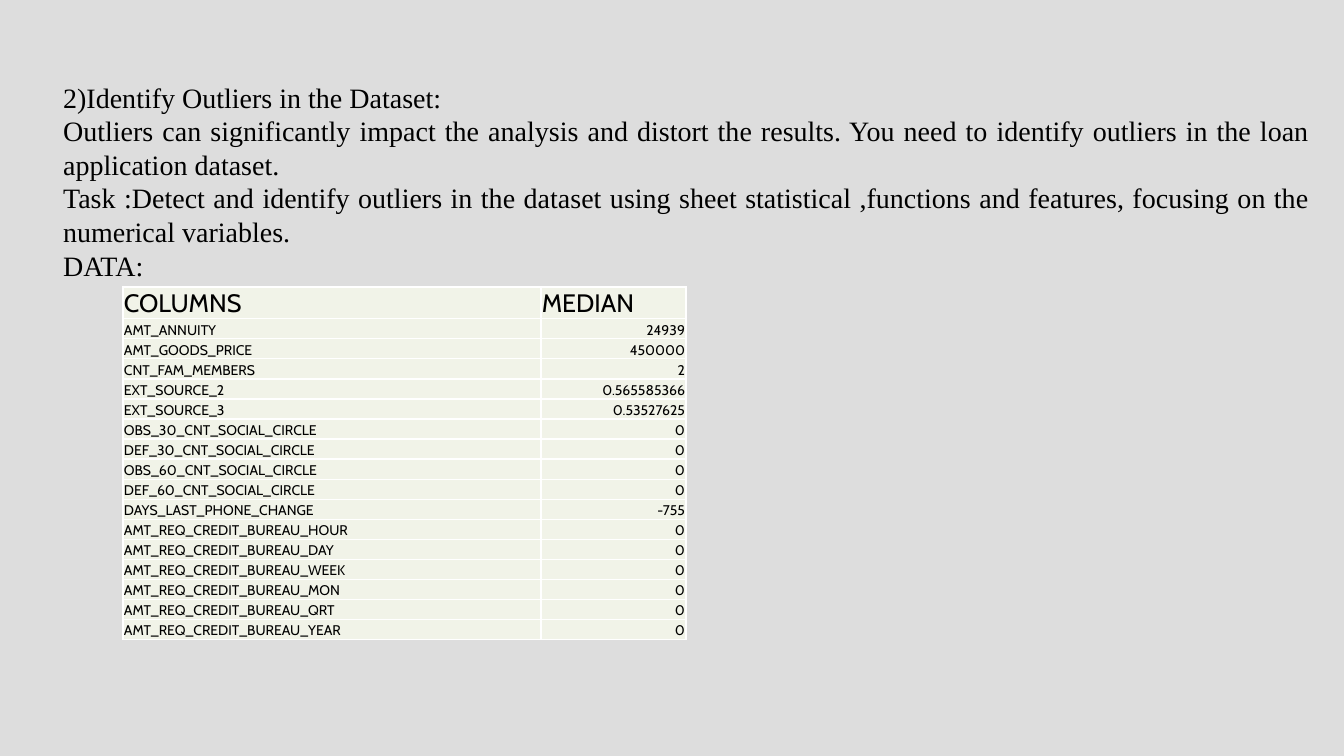
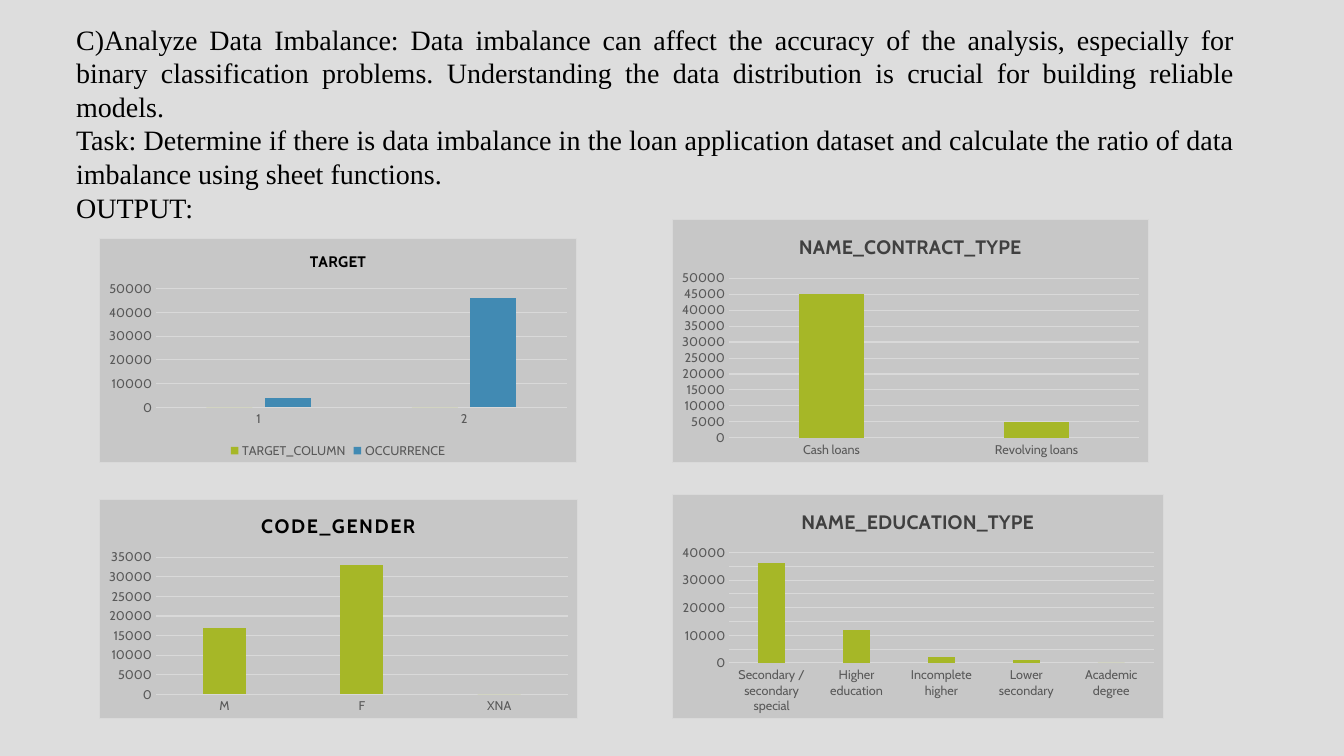
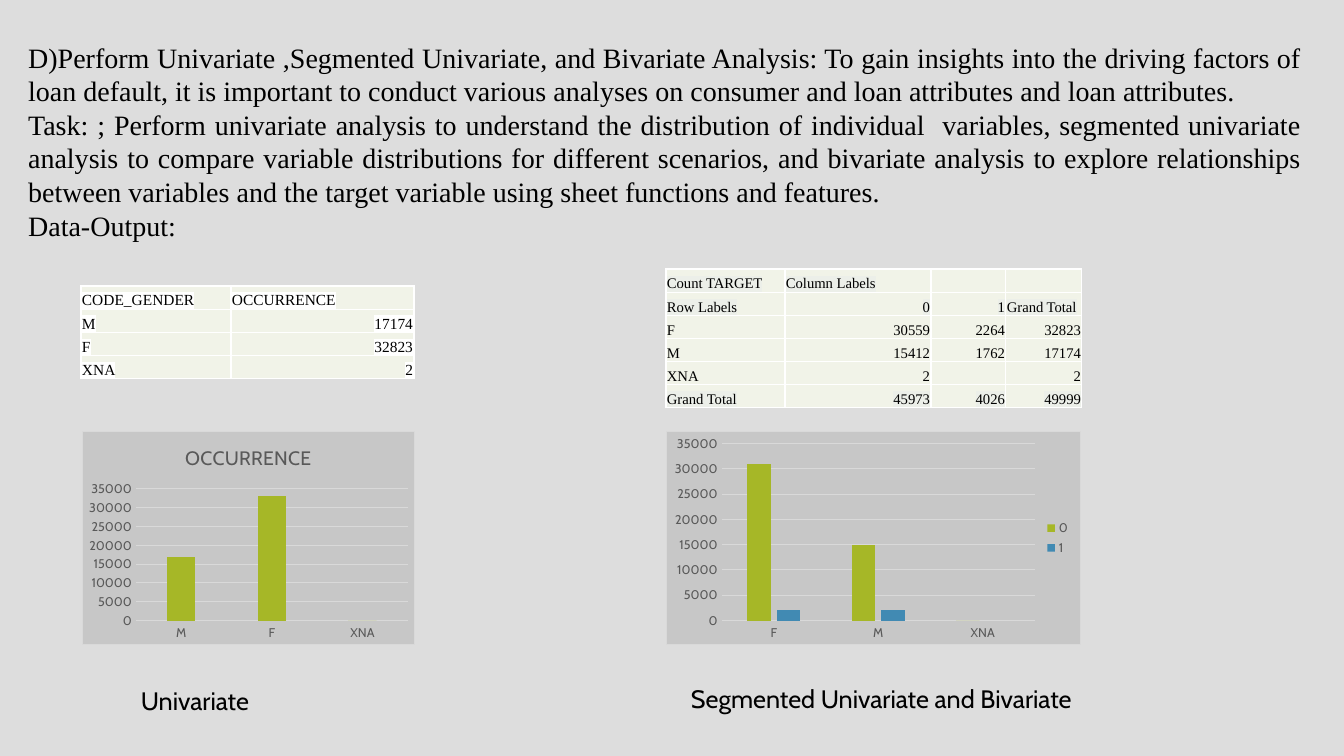
"""Builds three slides of a loan application data analysis."""
import lxml.etree
import pptx
import pptx.chart.data
import pptx.dml.color
import pptx.enum.chart
import pptx.enum.text
import pptx.oxml
import pptx.oxml.ns
import pptx.util

SCALE = 914400 / 100.8
SLIDE_SIZE = (1344, 756)
COLORS = {
    "background": "DDDDDD", "text": "000000", "cell": "F1F3E8", "border": "FFFFFF",
    "panel": "C7C7C7", "grid": "D9D9D9", "axis": "595959", "title": "404040",
    "green": "A6B727", "blue": "418AB3", "white": "FFFFFF", "pale": "ECEFE9",
}
SERIES_COLORS = ("green", "blue")
SERIF, SANS = "Times New Roman", "Cabin"
GENDERS = ("M", "F", "XNA")
GENDER_BARS = (17000, 33000, 0)

SLIDES = [
    {
        "body": {"box": (53, 75, 1267, 214), "paragraphs": [
            "2)Identify Outliers in the Dataset:",
            "Outliers can significantly impact the analysis and distort the results. You need to identify "
            "outliers in the loan application dataset.",
            "Task :Detect and identify outliers in the dataset using sheet statistical ,functions and "
            "features, focusing on the numerical variables.",
            "DATA:",
        ]},
        "tables": [{
            "at": (123, 287), "columns": (418, 145), "height": 352, "header_height": 31,
            "font": SANS, "size": 10, "header_size": 18, "highlights": {},
            "rows": [
                ("COLUMNS", "MEDIAN"),
                ("AMT_ANNUITY", "24939"),
                ("AMT_GOODS_PRICE", "450000"),
                ("CNT_FAM_MEMBERS", "2"),
                ("EXT_SOURCE_2", "0.565585366"),
                ("EXT_SOURCE_3", "0.53527625"),
                ("OBS_30_CNT_SOCIAL_CIRCLE", "0"),
                ("DEF_30_CNT_SOCIAL_CIRCLE", "0"),
                ("OBS_60_CNT_SOCIAL_CIRCLE", "0"),
                ("DEF_60_CNT_SOCIAL_CIRCLE", "0"),
                ("DAYS_LAST_PHONE_CHANGE", "-755"),
                ("AMT_REQ_CREDIT_BUREAU_HOUR", "0"),
                ("AMT_REQ_CREDIT_BUREAU_DAY", "0"),
                ("AMT_REQ_CREDIT_BUREAU_WEEK", "0"),
                ("AMT_REQ_CREDIT_BUREAU_MON", "0"),
                ("AMT_REQ_CREDIT_BUREAU_QRT", "0"),
                ("AMT_REQ_CREDIT_BUREAU_YEAR", "0"),
            ],
        }],
    },
    {
        "body": {"box": (66, 17, 1179, 244), "paragraphs": [
            "C)Analyze Data Imbalance: Data imbalance can affect the accuracy of the analysis, especially "
            "for binary classification problems. Understanding the data distribution is crucial for "
            "building reliable models.",
            "Task: Determine if there is data imbalance in the loan application dataset and calculate the "
            "ratio of data imbalance using sheet functions.",
            "OUTPUT:",
        ]},
        "charts": [
            {"box": (99, 238, 478, 225), "title": ("TARGET", 11, "text", True, 0),
             "legend": "BOTTOM", "axis": (50000, 10000), "categories": ("1", "2"),
             "series": [("TARGET_COLUMN", (0, 0)), ("OCCURRENCE", (4000, 46000))]},
            {"box": (672, 219, 477, 244), "title": ("NAME_CONTRACT_TYPE", 14, "title", True, 0),
             "axis": (50000, 5000), "categories": ("Cash loans", "Revolving loans"),
             "series": [("Series 1", (45000, 5000))]},
            {"box": (99, 499, 479, 220), "title": ("CODE_GENDER", 14, "text", True, 100),
             "axis": (35000, 5000), "categories": GENDERS,
             "series": [("Series 1", GENDER_BARS)]},
            {"box": (672, 494, 492, 225), "title": ("NAME_EDUCATION_TYPE", 14, "title", True, 0),
             "axis": (40000, 5000),
             "categories": ("Secondary / secondary special", "Higher education", "Incomplete higher",
                            "Lower secondary", "Academic degree"),
             "series": [("Series 1", (36000, 12000, 2000, 1000, 0))]},
        ],
    },
    {
        "body": {"box": (18, 35, 1294, 244), "paragraphs": [
            "D)Perform Univariate ,Segmented Univariate, and Bivariate Analysis: To gain insights into the "
            "driving factors of loan default, it is important to conduct various analyses on consumer and "
            "loan attributes and loan attributes.",
            "Task: ; Perform univariate analysis to understand the distribution of individual  variables, "
            "segmented univariate analysis to compare variable distributions for different scenarios, and "
            "bivariate analysis to explore relationships between variables and the target variable using "
            "sheet functions and features.",
            "Data-Output:",
        ]},
        "tables": [
            {"at": (81, 286), "columns": (150, 183), "height": 93, "font": SERIF, "size": 11,
             "highlights": dict.fromkeys(range(4), "white"),
             "rows": [
                 ("CODE_GENDER", "OCCURRENCE"),
                 ("M", "17174"),
                 ("F", "32823"),
                 ("XNA", "2"),
             ]},
            {"at": (666, 269), "columns": (119, 146, 75, 76), "height": 139, "font": SERIF, "size": 10.5,
             "highlights": dict.fromkeys((0, 1, 5), "pale"),
             "rows": [
                 ("Count TARGET", "Column Labels", "", ""),
                 ("Row Labels", "0", "1", "Grand Total"),
                 ("F", "30559", "2264", "32823"),
                 ("M", "15412", "1762", "17174"),
                 ("XNA", "2", "", "2"),
                 ("Grand Total", "45973", "4026", "49999"),
             ]},
        ],
        "charts": [
            {"box": (82, 431, 333, 214), "title": ("OCCURRENCE", 14, "axis", False, 0),
             "axis": (35000, 5000), "categories": GENDERS,
             "series": [("OCCURRENCE", GENDER_BARS)]},
            {"box": (666, 431, 415, 214), "legend": "RIGHT", "axis": (35000, 5000),
             "categories": ("F", "M", "XNA"),
             "series": [("0", (31000, 15000, 0)), ("1", (2000, 2000, None))]},
        ],
        "captions": [
            ("Univariate", (131, 680, 316, 40)),
            ("Segmented Univariate and Bivariate", (681, 678, 433, 40)),
        ],
    },
]


def px(length):
    return pptx.util.Emu(round(length * SCALE))


def color(name):
    return pptx.dml.color.RGBColor.from_string(COLORS[name])


def xml(tag, content, attributes=""):
    namespaces = pptx.oxml.ns.nsdecls("a", "c")
    return pptx.oxml.parse_xml(f"<{tag} {namespaces} {attributes}>{content}</{tag}>")


def solid(name):
    return f'<a:solidFill><a:srgbClr val="{COLORS[name]}"/></a:solidFill>'


def style_font(font, name, size, color_name, bold=False):
    font.name, font.size, font.bold = name, pptx.util.Pt(size), bold
    font.color.rgb = color(color_name)


def add_run(paragraph, text, name, size, color_name="text", bold=False):
    run = paragraph.add_run()
    run.text = text
    style_font(run.font, name, size, color_name, bold)
    return run


def fill_body(slide, body):
    placeholder = slide.placeholders[1]
    placeholder.left, placeholder.top, placeholder.width, placeholder.height = map(px, body["box"])
    frame = placeholder.text_frame
    frame.auto_size = pptx.enum.text.MSO_AUTO_SIZE.NONE
    for index, text in enumerate(body["paragraphs"]):
        paragraph = frame.add_paragraph() if index else frame.paragraphs[0]
        paragraph.alignment = pptx.enum.text.PP_ALIGN.JUSTIFY
        paragraph.space_before = pptx.util.Pt(0)
        paragraph.line_spacing = pptx.util.Pt(24)
        properties = paragraph._p.get_or_add_pPr()
        properties.set("marL", "0")
        properties.set("indent", "0")
        properties.append(xml("a:buNone", ""))
        add_run(paragraph, text, SERIF, 20)


def fill_cell(cell, text, font, size, highlight):
    cell.margin_left = cell.margin_right = cell.margin_top = px(1)
    cell.margin_bottom = 0
    cell.vertical_anchor = pptx.enum.text.MSO_ANCHOR.BOTTOM
    properties = cell._tc.get_or_add_tcPr()
    for side in "LRTB":
        properties.append(xml(f"a:ln{side}", solid("border"), 'w="12700"'))
    cell.fill.solid()
    cell.fill.fore_color.rgb = color("cell")
    paragraph = cell.text_frame.paragraphs[0]
    if not text:
        paragraph._p.append(xml("a:endParaRPr", "", f'sz="{round(size * 100)}"'))
        return
    if text.lstrip("-").replace(".", "").isdigit():
        paragraph.alignment = pptx.enum.text.PP_ALIGN.RIGHT
    run = add_run(paragraph, text, font, size)
    if highlight:
        fill = run._r.rPr.find(pptx.oxml.ns.qn("a:solidFill"))
        fill.addnext(xml("a:highlight", f'<a:srgbClr val="{COLORS[highlight]}"/>'))


def add_table(slide, content):
    rows, columns = content["rows"], content["columns"]
    box = (*content["at"], sum(columns), content["height"])
    table = slide.shapes.add_table(len(rows), len(columns), *map(px, box)).table
    table.first_row = table.horz_banding = False
    for column, width in zip(table.columns, columns):
        column.width = px(width)
    header_height = content.get("header_height", content["height"] / len(rows))
    row_height = (content["height"] - header_height) / (len(rows) - 1)
    for index, values in enumerate(rows):
        table.rows[index].height = px(row_height if index else header_height)
        size = content["size"] if index else content.get("header_size", content["size"])
        for cell, text in zip(table.rows[index].cells, values):
            fill_cell(cell, text, content["font"], size, content["highlights"].get(index))


def style_axes(chart, maximum, step):
    value_axis, category_axis = chart.value_axis, chart.category_axis
    for axis in (value_axis, category_axis):
        axis.major_tick_mark = axis.minor_tick_mark = pptx.enum.chart.XL_TICK_MARK.NONE
        style_font(axis.tick_labels.font, SANS, 9, "axis")
    value_axis.minimum_scale, value_axis.maximum_scale, value_axis.major_unit = 0, maximum, step
    value_axis.format.line.fill.background()
    for line in (category_axis.format.line, value_axis.major_gridlines.format.line):
        line.color.rgb = color("grid")
        line.width = pptx.util.Pt(0.75)


def add_chart(slide, content):
    data = pptx.chart.data.CategoryChartData()
    data.categories = content["categories"]
    for name, values in content["series"]:
        data.add_series(name, values)
    kind = pptx.enum.chart.XL_CHART_TYPE.COLUMN_CLUSTERED
    chart = slide.shapes.add_chart(kind, *map(px, content["box"]), data).chart
    style_font(chart.font, SANS, 10, "text")
    border = f'<a:ln w="9525">{solid("grid")}</a:ln>'
    text_properties = chart.element.find(pptx.oxml.ns.qn("c:txPr"))
    text_properties.addprevious(xml("c:spPr", solid("panel") + border))
    style_axes(chart, *content["axis"])
    plot = chart.plots[0]
    plot.gap_width, plot.overlap, plot.vary_by_categories = 219, -27, False
    for series, color_name in zip(plot.series, SERIES_COLORS):
        series.format.fill.solid()
        series.format.fill.fore_color.rgb = color(color_name)
    chart.has_title = "title" in content
    if chart.has_title:
        text, size, color_name, bold, spacing = content["title"]
        paragraph = chart.chart_title.text_frame.paragraphs[0]
        run = add_run(paragraph, text, SANS, size, color_name, bold)
        run._r.rPr.set("spc", str(spacing))
        chart.chart_title.include_in_layout = False
    chart.has_legend = "legend" in content
    if chart.has_legend:
        chart.legend.position = pptx.enum.chart.XL_LEGEND_POSITION[content["legend"]]
        chart.legend.include_in_layout = False
        style_font(chart.legend.font, SANS, 9, "axis")


def add_caption(slide, text, box):
    frame = slide.shapes.add_textbox(*map(px, box)).text_frame
    frame.word_wrap = True
    add_run(frame.paragraphs[0], text, SANS, 18)


def main():
    presentation = pptx.Presentation()
    presentation.slide_width, presentation.slide_height = map(px, SLIDE_SIZE)
    background = presentation.slide_master.background.fill
    background.solid()
    background.fore_color.rgb = color("background")
    for content in SLIDES:
        slide = presentation.slides.add_slide(presentation.slide_layouts[1])
        title = slide.shapes.title.element
        title.getparent().remove(title)
        fill_body(slide, content["body"])
        for table in content.get("tables", ()):
            add_table(slide, table)
        for chart in content.get("charts", ()):
            add_chart(slide, chart)
        for text, box in content.get("captions", ()):
            add_caption(slide, text, box)
    presentation.save("out.pptx")


if __name__ == "__main__":
    main()
